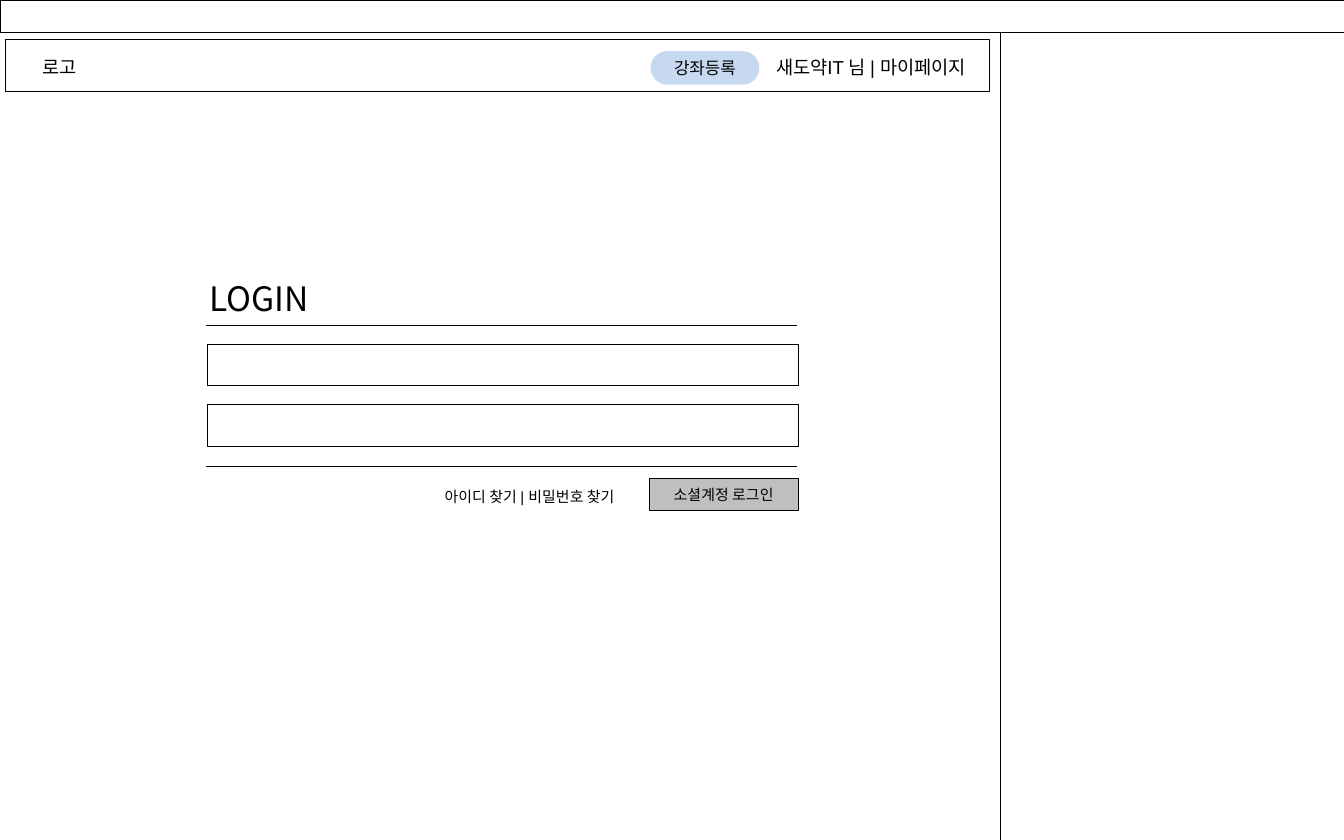
"""Build the login page wireframe slide."""
from dataclasses import dataclass
from typing import Optional

from lxml.etree import SubElement
from pptx import Presentation
from pptx.dml.color import RGBColor
from pptx.enum.shapes import MSO_CONNECTOR, MSO_SHAPE
from pptx.enum.text import MSO_ANCHOR, MSO_AUTO_SIZE, PP_ALIGN
from pptx.oxml.ns import qn
from pptx.shapes.autoshape import Shape
from pptx.slide import Slide
from pptx.util import Inches, Pt

BLACK = RGBColor(0x00, 0x00, 0x00)
WHITE = RGBColor(0xFF, 0xFF, 0xFF)
GRAY = RGBColor(0xBF, 0xBF, 0xBF)
LIGHT_BLUE = RGBColor(0xC6, 0xD9, 0xF1)
LATIN_FONT = "Arial"
KOREAN_FONT = "Noto Sans CJK KR"
FORM_LEFT, FORM_WIDTH = 1.54, 4.4
FIELD_TOP, FIELD_PITCH, FIELD_HEIGHT = 2.56, 0.45, 0.31


@dataclass(frozen=True)
class Label:
    text: str
    size: float
    font: str = KOREAN_FONT
    align: PP_ALIGN = PP_ALIGN.CENTER
    anchor: MSO_ANCHOR = MSO_ANCHOR.MIDDLE


@dataclass(frozen=True)
class Box:
    left: float
    top: float
    width: float
    height: float
    fill: RGBColor = WHITE
    outlined: bool = True
    rounded: bool = False
    label: Optional[Label] = None


@dataclass(frozen=True)
class Caption:
    left: float
    top: float
    width: float
    height: float
    label: Label


FRAMES = [
    Box(7.44, 0, 2.56, 6.25),
    Box(0, 0, 10, 0.24),
    Box(0.04, 0.29, 7.32, 0.39),
]
FIELDS = [
    Box(FORM_LEFT, FIELD_TOP + row * FIELD_PITCH, FORM_WIDTH, FIELD_HEIGHT)
    for row in range(2)
]
BUTTONS = [
    Box(4.84, 0.38, 0.81, 0.25, LIGHT_BLUE, False, True, Label("강좌등록", 9)),
    Box(4.83, 3.56, 1.11, 0.24, GRAY, label=Label("소셜계정 로그인", 8)),
]
CAPTIONS = [
    Caption(0.2, 0.37, 0.48, 0.27,
            Label("로고", 10, LATIN_FONT, anchor=MSO_ANCHOR.TOP)),
    Caption(5.6, 0.37, 1.76, 0.27,
            Label("새도약IT 님 | 마이페이지", 10, LATIN_FONT, anchor=MSO_ANCHOR.TOP)),
    Caption(3.21, 3.58, 1.62, 0.24,
            Label("아이디 찾기 | 비밀번호 찾기", 8, LATIN_FONT, PP_ALIGN.LEFT, MSO_ANCHOR.TOP)),
]
TITLE = Caption(1.46, 2.02, 0.95, 0.4,
                Label("LOGIN", 18, align=PP_ALIGN.LEFT, anchor=MSO_ANCHOR.TOP))
RULE_TOPS = [2.42, 3.47]


def write_label(shape: Shape, label: Label) -> None:
    """Write one formatted run into a shape."""
    frame = shape.text_frame
    frame.auto_size = MSO_AUTO_SIZE.NONE
    frame.word_wrap = False
    frame.vertical_anchor = label.anchor
    paragraph = frame.paragraphs[0]
    paragraph.alignment = label.align
    run = paragraph.add_run()
    run.text = label.text
    run.font.size = Pt(label.size)
    run.font.name = label.font
    run.font.color.rgb = BLACK
    SubElement(run.font._element, qn("a:ea"), typeface=KOREAN_FONT)


def draw_box(slide: Slide, box: Box) -> None:
    """Draw a filled box with its optional label."""
    preset = MSO_SHAPE.ROUNDED_RECTANGLE if box.rounded else MSO_SHAPE.RECTANGLE
    shape = slide.shapes.add_shape(
        preset, Inches(box.left), Inches(box.top), Inches(box.width), Inches(box.height))
    shape.shadow.inherit = False
    shape.fill.solid()
    shape.fill.fore_color.rgb = box.fill
    if box.rounded:
        shape.adjustments[0] = 0.5
    if box.outlined:
        shape.line.color.rgb = BLACK
        shape.line.width = Pt(0.25)
    else:
        shape.line.fill.background()
    if box.label:
        write_label(shape, box.label)


def draw_caption(slide: Slide, caption: Caption) -> None:
    """Draw a free-standing line of text."""
    shape = slide.shapes.add_textbox(
        Inches(caption.left), Inches(caption.top),
        Inches(caption.width), Inches(caption.height))
    write_label(shape, caption.label)


def draw_title(slide: Slide, caption: Caption) -> None:
    """Move and fill the title placeholder."""
    title = slide.shapes.title
    title.left, title.top = Inches(caption.left), Inches(caption.top)
    title.width, title.height = Inches(caption.width), Inches(caption.height)
    write_label(title, caption.label)


def draw_rule(slide: Slide, top: float) -> None:
    """Draw a horizontal rule across the form."""
    left = FORM_LEFT - 0.01
    rule = slide.shapes.add_connector(
        MSO_CONNECTOR.STRAIGHT, Inches(left), Inches(top),
        Inches(left + FORM_WIDTH), Inches(top))
    rule.line.color.rgb = BLACK
    rule.line.width = Pt(0.75)
    SubElement(rule._element.spPr, qn("a:effectLst"))


def main() -> None:
    """Assemble and save the presentation."""
    presentation = Presentation()
    presentation.slide_width = Inches(10)
    presentation.slide_height = Inches(6.25)
    slide = presentation.slides.add_slide(presentation.slide_layouts[5])
    draw_title(slide, TITLE)
    for box in FRAMES + FIELDS + BUTTONS:
        draw_box(slide, box)
    for caption in CAPTIONS:
        draw_caption(slide, caption)
    for top in RULE_TOPS:
        draw_rule(slide, top)
    presentation.save("out.pptx")


if __name__ == "__main__":
    main()
